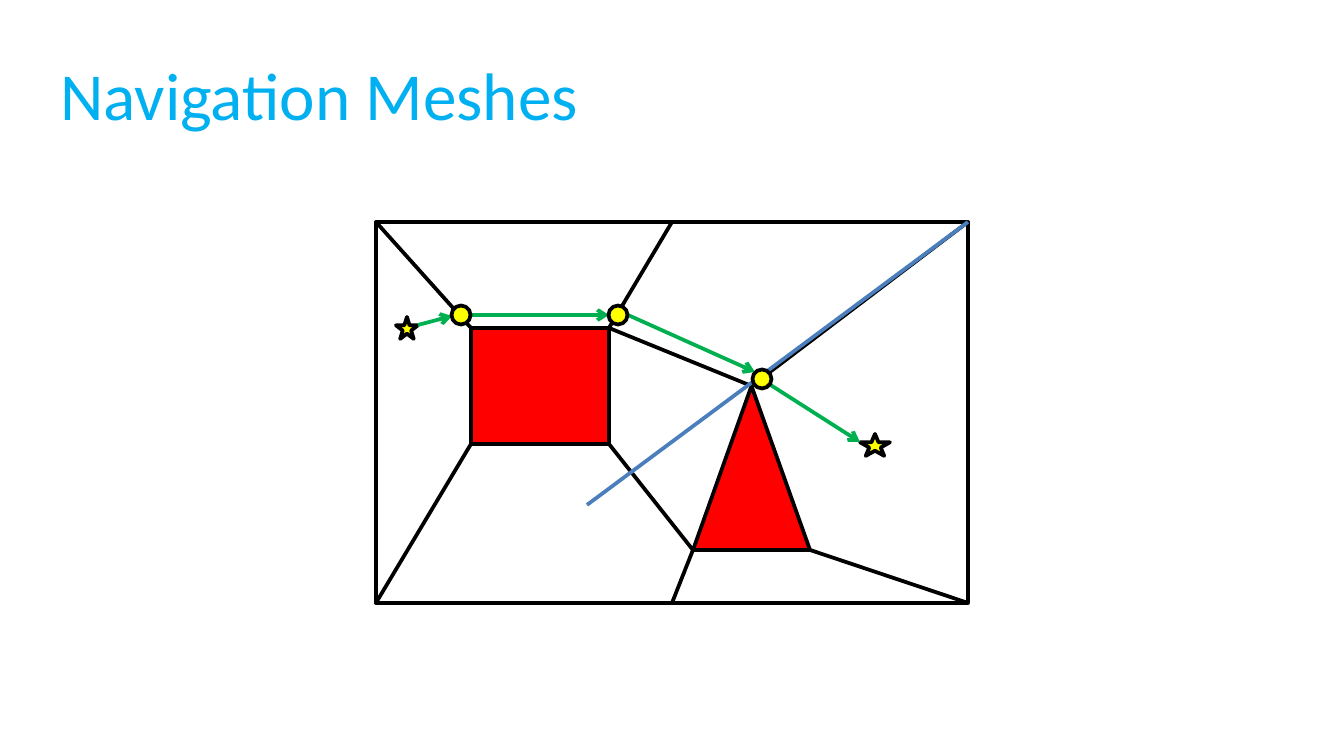
"""Build the Navigation Meshes slide: a walkable room split into cells, with a route across it."""
from dataclasses import dataclass

from lxml import etree
from pptx import Presentation, util as u
from pptx.dml.color import RGBColor
from pptx.enum import shapes, text
from pptx.oxml.ns import qn

PX = 914400 / 134.4
KIND = shapes.MSO_SHAPE


@dataclass(frozen=True)
class Theme:
    font: str = "Calibri"
    title_size: int = 36
    line_width: int = 2
    title: str = "00B0F0"
    outline: str = "000000"
    room: str = "FFFFFF"
    obstacle: str = "FF0000"
    marker: str = "FFFF00"
    sight: str = "4B7EBC"
    route: str = "00B050"


THEME = Theme()
PAGE_SIZE = (1344, 756)
TITLE = "Navigation Meshes"
TITLE_BOX = (47, 31, 1230, 126)

ROOM = (376, 222, 592, 381)
BLOCK = (471, 328, 138, 116)
WEDGE = (693, 386, 117, 164)
STARS = [(396, 317, 22, 22), (860, 434, 30, 22)]
SIGHT_END = (587, 505)
WAYPOINTS = [(461, 315), (618, 315), (762, 379)]
WAYPOINT_SIZE = 19
ROUTE = [
    ((418, 325), (452, 316)),
    ((471, 315), (609, 315)),
    ((628, 315), (755, 372)),
    ((769, 384), (860, 442)),
]


def emu(*lengths):
    return [round(length * PX) for length in lengths]


def point(area, across, down):
    left, top, width, height = area
    return left + width * across, top + height * down


def add_shape(parent, kind, area, fill):
    shape = parent.add_shape(kind, *emu(*area))
    shape.shadow.inherit = False
    shape.fill.solid()
    shape.fill.fore_color.rgb = RGBColor.from_string(fill)
    shape.line.color.rgb = RGBColor.from_string(THEME.outline)
    shape.line.width = u.Pt(THEME.line_width)


def add_line(parent, start, end, color, arrow=False):
    line = parent.add_connector(shapes.MSO_CONNECTOR.STRAIGHT, *emu(*start, *end))
    line.line.color.rgb = RGBColor.from_string(color)
    line.line.width = u.Pt(THEME.line_width)
    properties = line.line._get_or_add_ln()
    if arrow:
        etree.SubElement(properties, qn("a:tailEnd"), type="arrow")
    etree.SubElement(properties.getparent(), qn("a:effectLst"))


def add_title(page):
    title = page.shapes.title
    title.left, title.top, title.width, title.height = emu(*TITLE_BOX)
    title.text_frame.vertical_anchor = text.MSO_ANCHOR.MIDDLE
    title.text_frame.word_wrap = True
    para = title.text_frame.paragraphs[0]
    para.alignment = text.PP_ALIGN.LEFT
    span = para.add_run()
    span.text = TITLE
    span.font.name = THEME.font
    span.font.size = u.Pt(THEME.title_size)
    span.font.color.rgb = RGBColor.from_string(THEME.title)


def add_mesh(page):
    mesh = page.shapes.add_group_shape().shapes
    add_shape(mesh, KIND.RECTANGLE, ROOM, THEME.room)
    add_shape(mesh, KIND.RECTANGLE, BLOCK, THEME.obstacle)
    add_shape(mesh, KIND.ISOSCELES_TRIANGLE, WEDGE, THEME.obstacle)
    apex = point(WEDGE, 0.5, 0)
    edges = [
        (point(ROOM, 0, 0), point(BLOCK, 0, 0)),
        (point(BLOCK, 0, 1), point(ROOM, 0, 1)),
        (point(BLOCK, 1, 1), point(WEDGE, 0, 1)),
        (point(BLOCK, 1, 0), apex),
        (point(BLOCK, 1, 0), point(ROOM, 0.5, 0)),
        (apex, point(ROOM, 1, 0)),
        (point(WEDGE, 1, 1), point(ROOM, 1, 1)),
        (point(WEDGE, 0, 1), point(ROOM, 0.5, 1)),
    ]
    for start, end in edges:
        add_line(mesh, start, end, THEME.outline)
    for area in STARS:
        add_shape(mesh, KIND.STAR_5_POINT, area, THEME.marker)


def add_route(page):
    add_line(page.shapes, point(ROOM, 1, 0), SIGHT_END, THEME.sight)
    for start, end in ROUTE:
        add_line(page.shapes, start, end, THEME.route, arrow=True)
    for x, y in WAYPOINTS:
        area = (x - WAYPOINT_SIZE / 2, y - WAYPOINT_SIZE / 2, WAYPOINT_SIZE, WAYPOINT_SIZE)
        add_shape(page.shapes, KIND.OVAL, area, THEME.marker)


def main():
    deck = Presentation()
    deck.slide_width, deck.slide_height = emu(*PAGE_SIZE)
    page = deck.slides.add_slide(deck.slide_layouts.get_by_name("Title Only"))
    add_title(page)
    add_mesh(page)
    add_route(page)
    deck.save("out.pptx")


if __name__ == "__main__":
    main()
